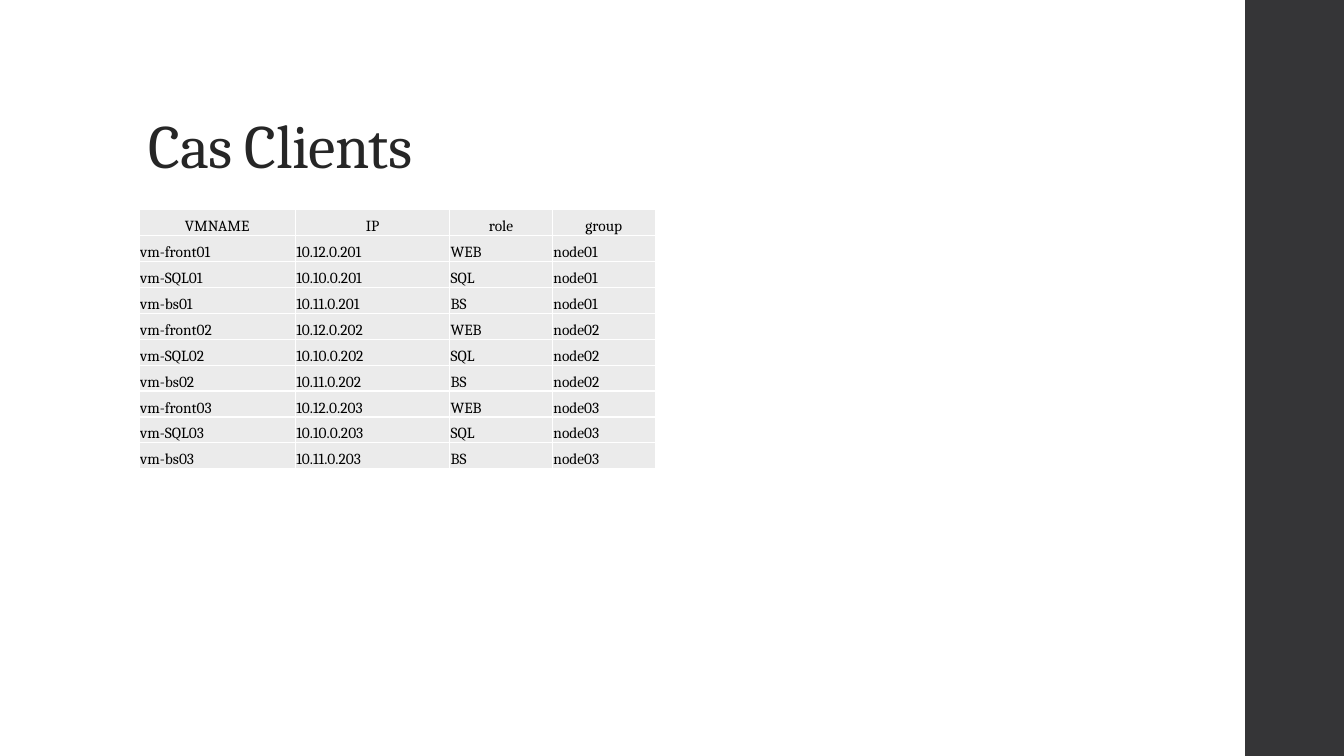
from dataclasses import dataclass

from lxml.etree import SubElement
from pptx import Presentation
from pptx.dml.color import RGBColor
from pptx.enum.shapes import MSO_SHAPE
from pptx.enum.text import MSO_ANCHOR, PP_ALIGN
from pptx.oxml.ns import qn
from pptx.slide import Slide
from pptx.table import _Cell as Cell
from pptx.text.text import _Paragraph as Line
from pptx.util import Inches, Pt

WIDE, HIGH = Inches(13.33), Inches(7.5)


@dataclass(frozen=True)
class Theme:
    font: str = "Cambria"
    band: str = "353537"
    title: str = "262626"
    text: str = "000000"
    fill: str = "EBEBEB"
    rule: str = "FFFFFF"
    big: int = 44
    small: int = 11


@dataclass(frozen=True)
class Box:
    """A frame in percent of the slide's width and height."""
    x: float
    y: float
    w: float
    h: float

    def frame(self) -> tuple[int, int, int, int]:
        return across(self.x), down(self.y), across(self.w), down(self.h)


@dataclass(frozen=True)
class Field:
    name: str
    width: float


@dataclass(frozen=True)
class Role:
    stem: str
    net: int
    label: str


THEME = Theme()
BAND = Box(92.65, 0, 7.5, 100)
TITLE = Box(10.35, 5.33, 79.52, 19.33)
ROW = 3.43
FIELDS = [Field("VMNAME", 11.63), Field("IP", 11.48),
          Field("role", 7.65), Field("group", 7.65)]
ROLES = [Role("front", 12, "WEB"), Role("SQL", 10, "SQL"), Role("bs", 11, "BS")]
NODES = range(1, 4)


def across(share: float) -> int:
    return round(WIDE * share / 100)


def down(share: float) -> int:
    return round(HIGH * share / 100)


def apply(item: object, form: dict) -> None:
    for key, value in form.items():
        setattr(item, key, value)


def write(line: Line, text: str, size: int, tone: str) -> None:
    run = line.add_run()
    run.text = text
    apply(run.font, {"name": THEME.font, "size": Pt(size)})
    run.font.color.rgb = RGBColor.from_string(tone)


def draw_band(slide: Slide) -> None:
    band = slide.shapes.add_shape(MSO_SHAPE.RECTANGLE, *BAND.frame())
    band.shadow.inherit = False
    band.fill.solid()
    band.fill.fore_color.rgb = RGBColor.from_string(THEME.band)
    band.line.fill.background()


def draw_title(slide: Slide) -> None:
    frame = slide.shapes.add_textbox(*TITLE.frame()).text_frame
    apply(frame, {"word_wrap": True, "vertical_anchor": MSO_ANCHOR.BOTTOM})
    line = frame.paragraphs[0]
    line.line_spacing = 0.9
    write(line, "Cas Clients", THEME.big, THEME.title)
    line.runs[0].font._element.set("spc", "-50")


def draw_cell(cell: Cell, text: str, align: PP_ALIGN) -> None:
    apply(cell, {"vertical_anchor": MSO_ANCHOR.BOTTOM,
                 "margin_left": Inches(0.01), "margin_right": Inches(0.01),
                 "margin_top": Inches(0.01), "margin_bottom": 0})
    # Borders come before the fill in the cell's properties
    props = cell._tc.get_or_add_tcPr()
    for side in ("a:lnL", "a:lnR", "a:lnT", "a:lnB"):
        edge = SubElement(props, qn(side), w=str(Pt(1)))
        paint = SubElement(edge, qn("a:solidFill"))
        SubElement(paint, qn("a:srgbClr"), val=THEME.rule)
    cell.fill.solid()
    cell.fill.fore_color.rgb = RGBColor.from_string(THEME.fill)
    line = cell.text_frame.paragraphs[0]
    line.alignment = align
    write(line, text, THEME.small, THEME.text)


def draw_table(slide: Slide) -> None:
    # Each node runs one machine for each role
    rows = [[field.name for field in FIELDS]]
    rows += [[f"vm-{role.stem}{node:02}", f"10.{role.net}.0.{200 + node}",
              role.label, f"node{node:02}"]
             for node in NODES for role in ROLES]
    box = Box(TITLE.x, 27.73, sum(field.width for field in FIELDS),
              ROW * len(rows))
    table = slide.shapes.add_table(len(rows), len(FIELDS), *box.frame()).table
    apply(table, {"first_row": False, "horz_banding": False})
    for column, field in zip(table.columns, FIELDS):
        column.width = across(field.width)
    for r, row in enumerate(rows):
        table.rows[r].height = down(ROW)
        align = PP_ALIGN.LEFT if r else PP_ALIGN.CENTER
        for c, text in enumerate(row):
            draw_cell(table.cell(r, c), text, align)


def main() -> None:
    deck = Presentation()
    apply(deck, {"slide_width": WIDE, "slide_height": HIGH})
    slide = deck.slides.add_slide(deck.slide_layouts[6])
    draw_band(slide)
    draw_title(slide)
    draw_table(slide)
    deck.save("out.pptx")


if __name__ == "__main__":
    main()
